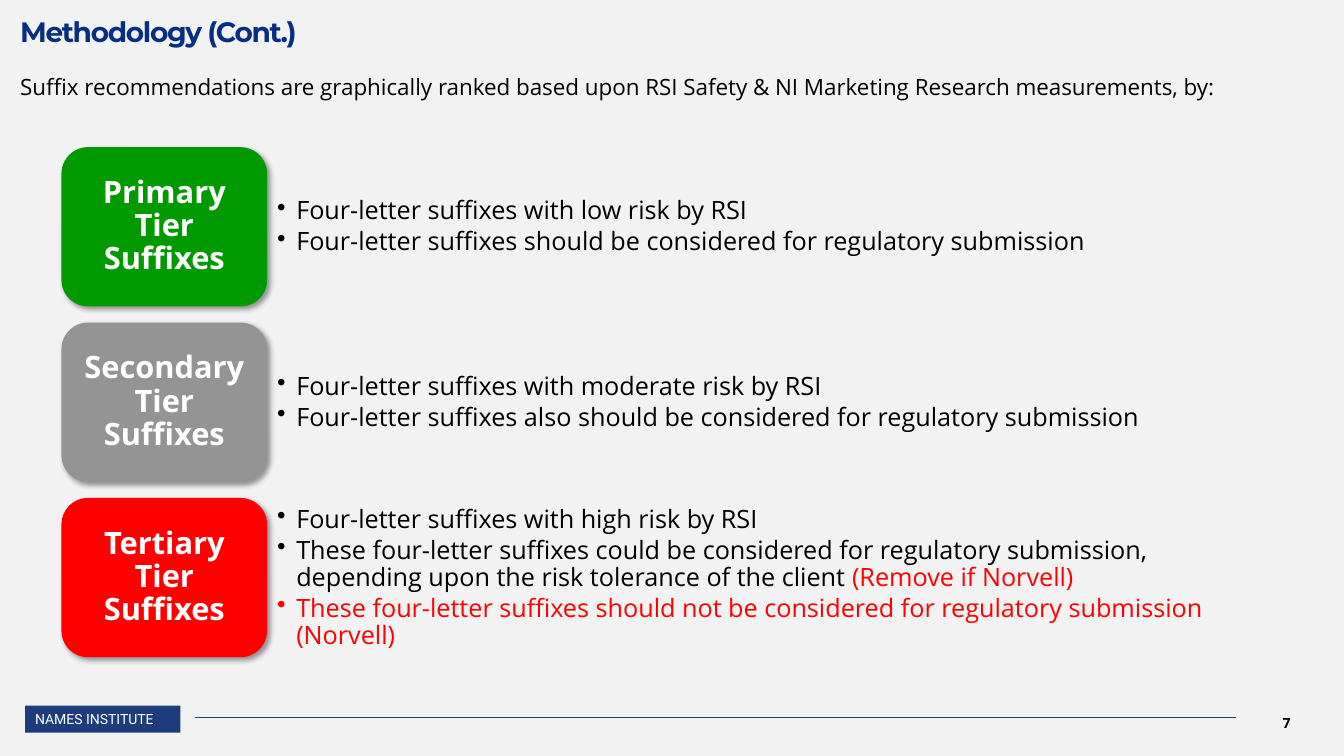
from lxml import etree
from pptx import Presentation
from pptx.dml.color import RGBColor
from pptx.enum.shapes import MSO_CONNECTOR, MSO_SHAPE
from pptx.enum.text import MSO_ANCHOR, PP_ALIGN
from pptx.oxml.ns import qn
from pptx.util import Inches, Pt

LEFT, CENTER = PP_ALIGN.LEFT, PP_ALIGN.CENTER
TOP, MIDDLE = MSO_ANCHOR.TOP, MSO_ANCHOR.MIDDLE
RECT, ROUND_RECT = MSO_SHAPE.RECTANGLE, MSO_SHAPE.ROUNDED_RECTANGLE
STRAIGHT = MSO_CONNECTOR.STRAIGHT
TITLE_ONLY = 5

COLORS = {
    "background": "F2F2F2", "title": "062E83", "footer": "1D3C7C",
    "text": "000000", "white": "FFFFFF", "primary": "009900",
    "secondary": "949494", "tertiary": "FF0000", "alert": "FF0000",
}
# Each tier: name, fill, bullets; each bullet is a list of (text, colour) runs.
TIERS = [
    ("Primary Tier Suffixes", "primary", [
        [("Four-letter suffixes with low risk by RSI", "text")],
        [("Four-letter suffixes should be considered for regulatory submission", "text")],
    ]),
    ("Secondary Tier Suffixes", "secondary", [
        [("Four-letter suffixes with moderate risk by RSI", "text")],
        [("Four-letter suffixes also should be considered for regulatory submission", "text")],
    ]),
    ("Tertiary Tier Suffixes", "tertiary", [
        [("Four-letter suffixes with high risk by RSI", "text")],
        [("These four-letter suffixes could be considered for regulatory submission, "
          "depending upon the risk tolerance of the client", "text"),
         (" (Remove if Norvell)", "alert")],
        [("These four-letter suffixes should not be considered for regulatory "
          "submission (Norvell)", "alert")],
    ]),
]
TIER_TOP, TIER_PITCH = 1.46, 1.74


def rgb(name):
    return RGBColor.from_string(COLORS[name])


class SlideBuilder:
    def __init__(self, prs):
        self.s = prs.slides.add_slide(prs.slide_layouts[TITLE_ONLY])
        fill = self.s.background.fill
        fill.solid()
        fill.fore_color.rgb = rgb("background")

    def frame(self, sp, insets=(0.1, 0.05, 0.1, 0.05), anchor=TOP):
        tf = sp.text_frame
        tf.word_wrap = True
        tf.vertical_anchor = anchor
        (tf.margin_left, tf.margin_top,
         tf.margin_right, tf.margin_bottom) = map(Inches, insets)
        return tf

    def paragraph(self, p, runs, size, font="Open Sans", bold=False,
                  align=LEFT, spacing=1.0, after=0):
        p.alignment = align
        p.line_spacing = spacing
        p.space_before, p.space_after = Pt(0), Pt(after)
        for text, color in runs:
            r = p.add_run()
            r.text = text
            r.font.name, r.font.size, r.font.bold = font, Pt(size), bold
            r.font.color.rgb = rgb(color)

    def title(self, text, box):
        sp = self.s.shapes.title
        sp.left, sp.top, sp.width, sp.height = map(Inches, box)
        p = self.frame(sp, (0, 0.21, 0, 0)).paragraphs[0]
        self.paragraph(p, [(text, "title")], 20, "Montserrat", True, spacing=0.8)
        p.runs[0].font._element.set("spc", "-100")

    def text(self, text, box, size, insets=(0, 0, 0, 0), anchor=TOP, **style):
        sp = self.s.shapes.add_textbox(*map(Inches, box))
        p = self.frame(sp, insets, anchor).paragraphs[0]
        self.paragraph(p, [(text, "text")], size, **style)

    def bullets(self, items, box):
        sp = self.s.shapes.add_textbox(*map(Inches, box))
        tf = self.frame(sp, (0.1, 0.01, 0.01, 0.01), MIDDLE)
        for i, runs in enumerate(items):
            p = tf.add_paragraph() if i else tf.paragraphs[0]
            pPr = p._p.get_or_add_pPr()
            pPr.set("marL", str(Inches(0.19)))
            pPr.set("indent", str(-Inches(0.19)))
            etree.SubElement(pPr, qn("a:buChar")).set("char", "•")
            self.paragraph(p, runs, 18, spacing=0.9, after=2.7)

    def block(self, shape, text, fill, box, insets, size, **style):
        sp = self.s.shapes.add_shape(shape, *map(Inches, box))
        sp.shadow.inherit = False
        sp.fill.solid()
        sp.fill.fore_color.rgb = rgb(fill)
        sp.line.fill.background()
        p = self.frame(sp, insets, MIDDLE).paragraphs[0]
        self.paragraph(p, [(text, "white")], size, **style)
        return sp

    def drop_shadow(self, sp):
        effects = sp._element.spPr.find(qn("a:effectLst"))
        shadow = etree.SubElement(effects, qn("a:outerShdw"), blurRad=str(Pt(4)),
                                  dist=str(Pt(3)), dir="2700000", algn="tl",
                                  rotWithShape="0")
        color = etree.SubElement(shadow, qn("a:srgbClr"), val=COLORS["text"])
        etree.SubElement(color, qn("a:alpha"), val="40000")

    def line(self, x1, x2, y):
        c = self.s.shapes.add_connector(STRAIGHT, *map(Inches, (x1, y, x2, y)))
        c.line.color.rgb = rgb("footer")
        c.line.width = Pt(0.5)
        etree.SubElement(c._element.spPr, qn("a:effectLst"))

    def tier(self, name, fill, items, top):
        self.bullets(items, (2.65, top + 0.2, 9.49, 1.19))
        card = self.block(ROUND_RECT, name, fill, (0.61, top, 2.04, 1.58),
                          (0.09, 0.05, 0.09, 0.05), 22, bold=True,
                          align=CENTER, spacing=0.9, after=7.7)
        self.drop_shadow(card)


def main():
    prs = Presentation()
    prs.slide_width, prs.slide_height = Inches(13.33), Inches(7.5)
    b = SlideBuilder(prs)
    b.title("Methodology (Cont.)", (0.2, 0, 12.82, 0.48))
    b.text("Suffix recommendations are graphically ranked based upon RSI Safety "
           "& NI Marketing Research measurements, by:",
           (0.2, 0.66, 12.82, 0.65), 16, spacing=1.25)
    for i, (name, fill, items) in enumerate(TIERS):
        b.tier(name, fill, items, TIER_TOP + i * TIER_PITCH)
    b.block(RECT, "NAMES INSTITUTE", "footer", (0.25, 7, 1.54, 0.27),
            (0.1, 0.05, 0.1, 0.05), 10, font="Roboto")
    b.line(1.93, 12.26, 7.12)
    b.text("7", (12.21, 6.97, 1.1, 0.4), 10, (0.1, 0.05, 0.1, 0.05), MIDDLE,
           bold=True, align=CENTER)
    prs.save("out.pptx")


if __name__ == "__main__":
    main()
